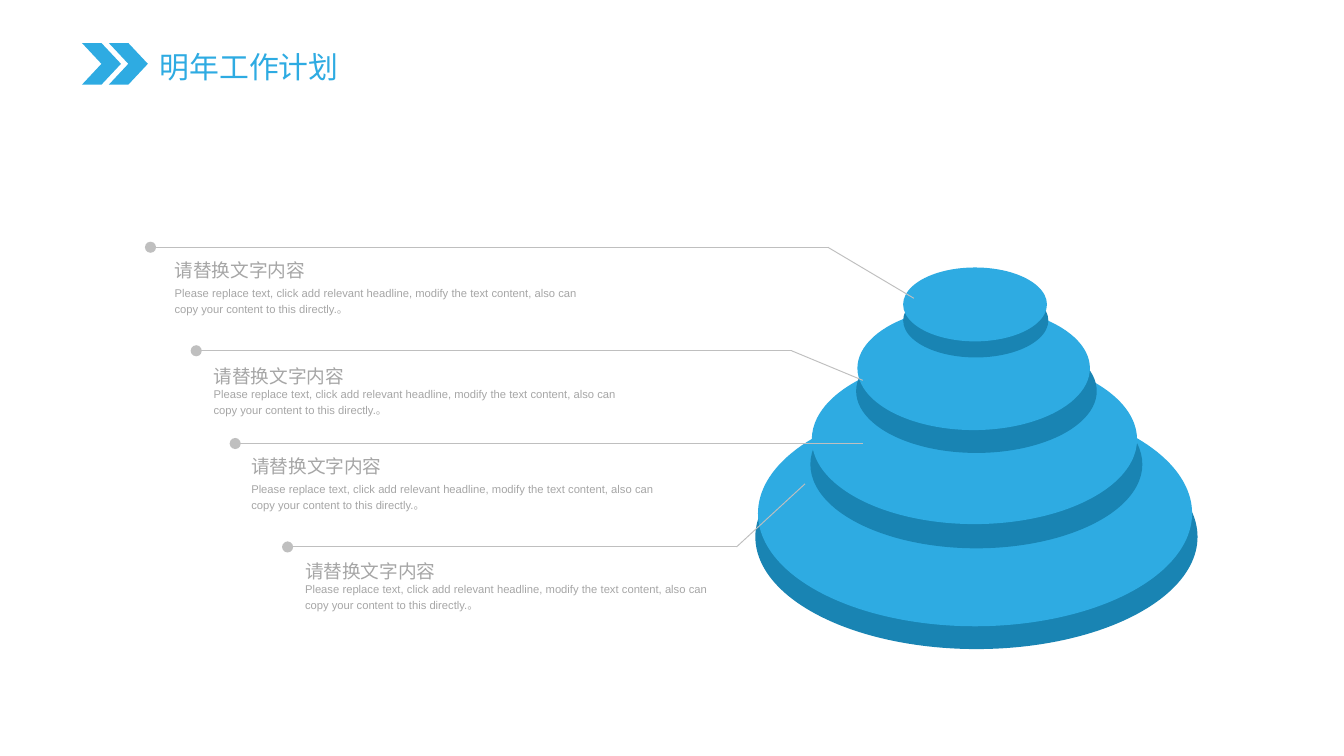
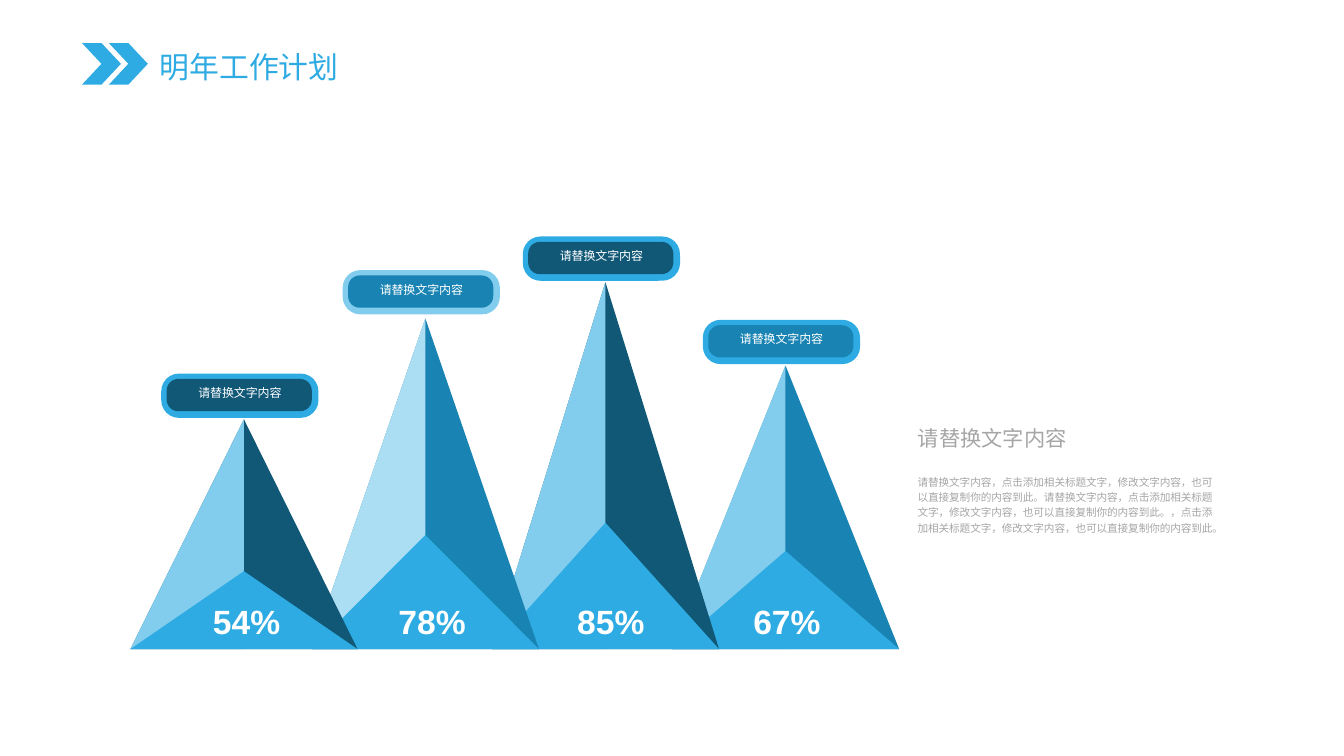
from lxml import etree
from pptx import Presentation
from pptx.dml.color import RGBColor
from pptx.enum.shapes import MSO_CONNECTOR, MSO_SHAPE
from pptx.enum.text import MSO_ANCHOR, MSO_AUTO_SIZE, PP_ALIGN
from pptx.oxml.ns import qn
from pptx.util import Inches, Pt

CHEVRON, ELLIPSE = MSO_SHAPE.CHEVRON, MSO_SHAPE.OVAL
ROUNDED = MSO_SHAPE.ROUNDED_RECTANGLE
STRAIGHT = MSO_CONNECTOR.STRAIGHT
TOP = MSO_ANCHOR.TOP
GROW = MSO_AUTO_SIZE.SHAPE_TO_FIT_TEXT
LEFT, CENTER, JUSTIFY = PP_ALIGN.LEFT, PP_ALIGN.CENTER, PP_ALIGN.JUSTIFY

COLORS = {
    "blue": "2EABE2",
    "deep": "1984B3",
    "navy": "115877",
    "sky": "82CDEE",
    "pale": "ABDDF3",
    "grey": "A6A6A6",
    "line": "BFBFBF",
    "white": "FFFFFF",
}
LATIN_FONT, CHINESE_FONT = "Arial", "Noto Sans CJK SC"
HEADING = "请替换文字内容"


def write(box, text, size, color, align=LEFT, font=LATIN_FONT, bold=False,
          wrap=True, spacing=1.2, inset=(0.1, 0.05)):
    frame = box.text_frame
    frame.text = text
    frame.word_wrap = wrap
    frame.auto_size = GROW
    frame.vertical_anchor = TOP
    frame.margin_left = frame.margin_right = Inches(inset[0])
    frame.margin_top = frame.margin_bottom = Inches(inset[1])
    para = frame.paragraphs[0]
    para.alignment = align
    para.line_spacing = spacing
    span = para.runs[0]
    span.font.size = Pt(size)
    span.font.bold = bold
    span.font.name = font
    span.font.color.rgb = RGBColor.from_string(COLORS[color])
    east_asian = etree.SubElement(span._r.get_or_add_rPr(), qn("a:ea"))
    east_asian.set("typeface", CHINESE_FONT)


def paint(shape, color):
    shape.shadow.inherit = False
    shape.fill.solid()
    shape.fill.fore_color.rgb = RGBColor.from_string(COLORS[color])
    shape.line.fill.background()


deck = Presentation()
deck.slide_width = Inches(10)
deck.slide_height = deck.slide_width * 9 // 16

pages = [deck.slides.add_slide(deck.slide_layouts[5]) for _ in range(2)]
for page in pages:
    title = page.shapes.title
    title.left, title.top = Inches(1.11), Inches(0.32)
    title.width, title.height = Inches(1.5), Inches(0.35)
    write(title, "明年工作计划", 16, "blue", font=CHINESE_FONT, wrap=False,
          spacing=1.0, inset=(0.08, 0.04))
    for left in (0.61, 0.81):
        chevron = page.shapes.add_shape(
            CHEVRON, Inches(left), Inches(0.32), Inches(0.29), Inches(0.31))
        paint(chevron, "blue")

tower_page, pyramid_page = pages

tiers = [
    (5.62, 3.16, 3.29, 1.67, "deep"), (5.64, 2.98, 3.23, 1.68, "blue"),
    (6.03, 2.83, 2.47, 1.25, "deep"), (6.04, 2.64, 2.42, 1.26, "blue"),
    (6.37, 2.45, 1.79, 0.92, "deep"), (6.38, 2.28, 1.73, 0.92, "blue"),
    (6.72, 2.11, 1.08, 0.55, "deep"), (6.72, 1.99, 1.07, 0.55, "blue"),
]
for *bounds, color in tiers:
    tier = tower_page.shapes.add_shape(ELLIPSE, *map(Inches, bounds))
    paint(tier, color)

DETAIL = ("Please replace text, click add relevant headline, modify the text "
          "content, also can copy your content to this directly.。")
callouts = [
    (1.23, 1.85, 2.07, [(6.8, 2.22), (6.16, 1.84), (1.12, 1.84)]),
    (1.52, 2.64, 2.82, [(6.42, 2.83), (5.89, 2.61), (1.46, 2.61)]),
    (1.8, 3.31, 3.53, [(6.42, 3.3), (1.75, 3.3)]),
    (2.2, 4.09, 4.27, [(5.99, 3.6), (5.48, 4.07), (2.14, 4.07)]),
]
for left, heading_top, detail_top, points in callouts:
    detail = tower_page.shapes.add_textbox(
        Inches(left), Inches(detail_top), Inches(3.13), Inches(0.31))
    write(detail, DETAIL, 6, "grey", JUSTIFY, inset=(0.07, 0.04))
    heading = tower_page.shapes.add_textbox(
        Inches(left), Inches(heading_top), Inches(1.23), Inches(0.27))
    write(heading, HEADING, 10, "grey", inset=(0.07, 0.04))
    for start, end in zip(points, points[1:]):
        leader = tower_page.shapes.add_connector(
            STRAIGHT, *map(Inches, start + end))
        leader.line.width = Pt(0.5)
        leader.line.color.rgb = RGBColor.from_string(COLORS["line"])
        etree.SubElement(leader._element.spPr, qn("a:effectLst"))
        if end == points[-1]:
            dot = etree.SubElement(leader.line._get_or_add_ln(), qn("a:tailEnd"))
            dot.set("type", "oval")

heading = pyramid_page.shapes.add_textbox(
    Inches(6.73), Inches(3.08), Inches(1.31), Inches(0.33))
write(heading, HEADING, 11.4, "grey")
summary = pyramid_page.shapes.add_textbox(
    Inches(6.73), Inches(3.47), Inches(2.43), Inches(0.68))
write(summary,
      "请替换文字内容，点击添加相关标题文字，修改文字内容，也可以直接复制你的内容到此。"
      "请替换文字内容，点击添加相关标题文字，修改文字内容，也可以直接复制你的内容到此。"
      "，点击添加相关标题文字，修改文字内容，也可以直接复制你的内容到此。",
      5.7, "grey")

BASE, PYRAMID_WIDTH = 4.83, 1.69
pyramids = [
    (0.97, 3.12, 4.25, 2.78, "navy", "sky", "blue", "54%", 1.48),
    (2.32, 2.37, 3.98, 2.01, "deep", "pale", "sky", "78%", 2.86),
    (3.66, 2.1, 3.89, 1.76, "navy", "sky", "blue", "85%", 4.19),
    (5.0, 2.72, 4.1, 2.38, "deep", "sky", "blue", "67%", 5.5),
]
for left, apex, ridge, _, dark, light, *_ in reversed(pyramids):
    middle, right = left + PYRAMID_WIDTH / 2, left + PYRAMID_WIDTH
    for peak, corner, color in ((apex, right, dark), (apex, middle, light),
                                (ridge, right, "blue")):
        outline = pyramid_page.shapes.build_freeform(Inches(corner), Inches(BASE))
        outline.add_line_segments([(Inches(left), Inches(BASE)),
                                   (Inches(middle), Inches(peak))])
        paint(outline.convert_to_shape(), color)

for left, _, _, label_top, dark, _, rim, percent, percent_left in pyramids:
    for inset_x, inset_y, width, height, radius, color in (
            (0.23, 0, 1.17, 0.33, 0.4, rim),
            (0.27, 0.04, 1.08, 0.24, 0.36, dark)):
        plate = pyramid_page.shapes.add_shape(
            ROUNDED, Inches(left + inset_x), Inches(label_top + inset_y),
            Inches(width), Inches(height))
        plate.adjustments[0] = radius
        paint(plate, color)
    label = pyramid_page.shapes.add_textbox(
        Inches(left + 0.4), Inches(label_top + 0.02), Inches(0.83), Inches(0.23))
    write(label, HEADING, 6.4, "white", CENTER, wrap=False)
    value = pyramid_page.shapes.add_textbox(
        Inches(percent_left), Inches(4.36), Inches(0.71), Inches(0.46))
    write(value, percent, 18, "white", CENTER, bold=True, wrap=False)

deck.save("out.pptx")
